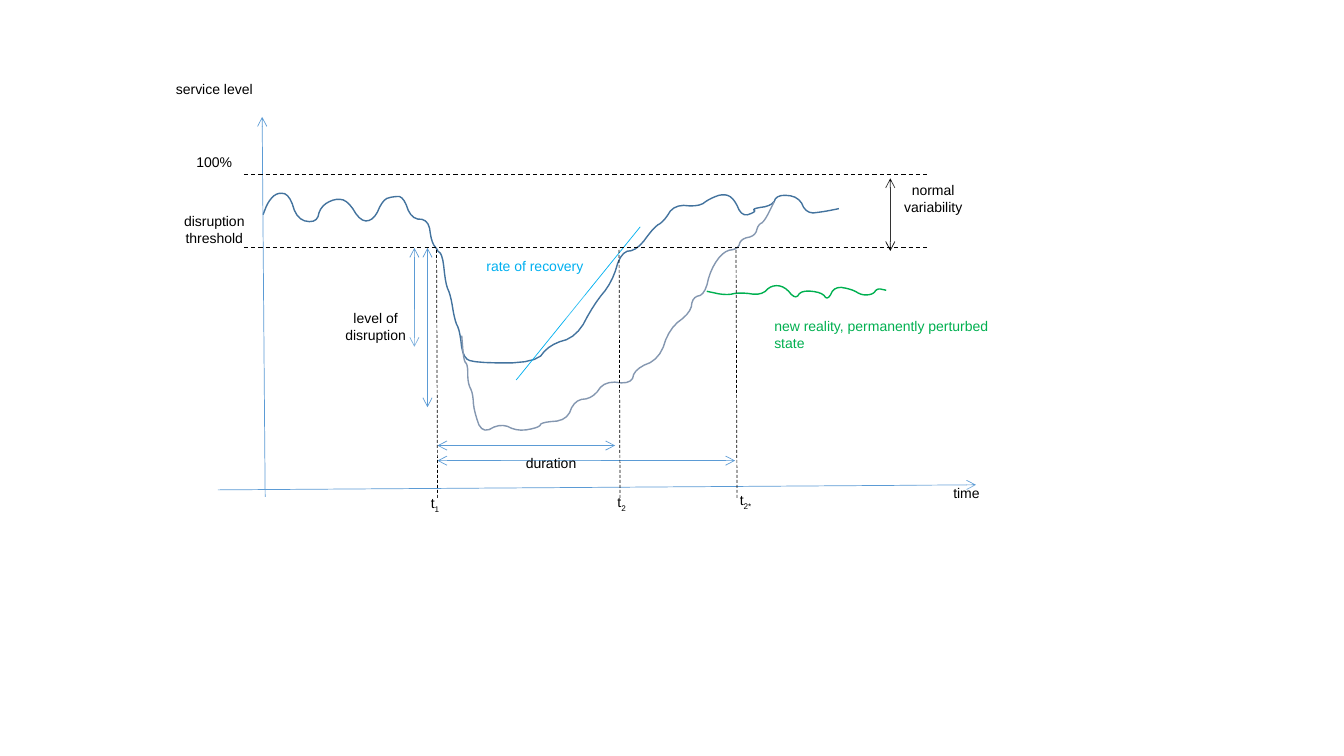
from lxml import etree
from pptx import Presentation
from pptx.dml.color import RGBColor
from pptx.enum.dml import MSO_LINE
from pptx.enum.shapes import MSO_CONNECTOR, MSO_SHAPE
from pptx.enum.text import MSO_ANCHOR, PP_ALIGN
from pptx.oxml.ns import qn
from pptx.util import Inches, Pt

STRAIGHT = MSO_CONNECTOR.STRAIGHT
DASH = MSO_LINE.DASH
RECT = MSO_SHAPE.RECTANGLE
TOP = MSO_ANCHOR.TOP
LEFT, CENTER = PP_ALIGN.LEFT, PP_ALIGN.CENTER

COLORS = {
    "black": "000000", "white": "FFFFFF", "axis": "5B9BD5", "navy": "43739E",
    "slate": "8497B0", "green": "00B050", "cyan": "00B0F0",
}


def color(name):
    return RGBColor.from_string(COLORS[name])


def smooth(dots):
    soft = [dots[0]]
    for (x1, y1), (x2, y2) in zip(dots, dots[1:]):
        soft += [((3 * x1 + x2) / 4, (3 * y1 + y2) / 4),
                 ((x1 + 3 * x2) / 4, (y1 + 3 * y2) / 4)]
    return soft + [dots[-1]]


prs = Presentation()
prs.slide_width = Inches(13.33)
prs.slide_height = Inches(7.5)
slide = prs.slides.add_slide(prs.slide_layouts[6])

curves = [
    ("navy", [
        (2.61, 2.13), (2.66, 2), (2.75, 1.91), (2.87, 1.93), (2.95, 2.18), (3.14, 2.21),
        (3.18, 2.05), (3.32, 1.97), (3.45, 1.99), (3.58, 2.2), (3.71, 2.18), (3.8, 1.98),
        (3.9, 1.95), (4, 1.95), (4.08, 2.17), (4.25, 2.18), (4.28, 2.4), (4.34, 2.48)]),
    ("navy", [
        (4.33, 2.48), (4.39, 2.53), (4.42, 2.82), (4.47, 2.93), (4.51, 3.18), (4.56, 3.28),
        (4.59, 3.54), (4.7, 3.6), (5.31, 3.6), (5.45, 3.42), (5.72, 3.34), (5.89, 3.02),
        (6.07, 2.8), (6.16, 2.5), (6.32, 2.48), (6.49, 2.25), (6.58, 2.2), (6.69, 2.03),
        (6.93, 2.05), (7.04, 1.97), (7.18, 1.92), (7.28, 1.97), (7.36, 2.15), (7.5, 2.1),
        (7.46, 2.07), (7.66, 2.04), (7.71, 1.93), (7.92, 1.95), (8, 2.12), (8.17, 2.1),
        (8.32, 2.07)]),
    ("slate", [
        (4.58, 3.33), (4.6, 3.58), (4.64, 3.62), (4.64, 3.8), (4.69, 3.9), (4.7, 4.07),
        (4.78, 4.3), (4.97, 4.2), (5.14, 4.28), (5.35, 4.24), (5.37, 4.19), (5.62, 4.17),
        (5.7, 3.97), (5.88, 3.95), (6, 3.78), (6.26, 3.81), (6.3, 3.66), (6.54, 3.56),
        (6.64, 3.26), (6.85, 3.1), (6.87, 2.95), (6.99, 2.92), (7.05, 2.67), (7.18, 2.49),
        (7.32, 2.47), (7.35, 2.37), (7.49, 2.34), (7.52, 2.23), (7.58, 2.2), (7.68, 2)]),
    ("green", [
        (7.01, 2.89), (7.2, 2.93), (7.34, 2.9), (7.55, 2.93), (7.65, 2.83), (7.78, 2.84),
        (7.89, 2.97), (7.95, 2.88), (8.15, 2.9), (8.21, 2.98), (8.28, 2.84), (8.45, 2.87),
        (8.55, 2.93), (8.66, 2.92), (8.7, 2.86), (8.79, 2.88)]),
]
for tint, dots in curves:
    dots = [(Inches(x), Inches(y)) for x, y in smooth(smooth(dots))]
    pen = slide.shapes.build_freeform(*dots[0])
    pen.add_line_segments(dots[1:], close=False)
    curve = pen.convert_to_shape()
    curve.shadow.inherit = False
    curve.fill.background()
    curve.line.color.rgb = color(tint)
    curve.line.width = Pt(1)

NONE, ONE, BOTH = (), ("tailEnd",), ("headEnd", "tailEnd")
lines = [
    (2.16, 4.86, 9.68, 4.81, "axis", ONE),
    (2.63, 4.93, 2.6, 1.16, "axis", ONE),
    (4.11, 2.46, 4.11, 3.44, "axis", BOTH),
    (4.24, 2.46, 4.24, 4.04, "axis", BOTH),
    (6.1, 4.42, 4.34, 4.42, "axis", BOTH),
    (7.29, 4.57, 4.34, 4.57, "axis", BOTH),
    (5.12, 3.77, 6.35, 2.25, "cyan", NONE),
    (8.83, 1.77, 8.83, 2.49, "black", BOTH),
]
lines += [(2.42, y, 9.19, y, "black", NONE) for y in (1.73, 2.46)]
lines += [(x, 2.48, x + 0.01, 4.95, "black", NONE) for x in (4.33, 6.14, 7.3)]
for x1, y1, x2, y2, tint, ends in lines:
    link = slide.shapes.add_connector(
        STRAIGHT, Inches(x1), Inches(y1), Inches(x2), Inches(y2))
    link.line.color.rgb = color(tint)
    link.line.width = Pt(0.5)
    if tint == "black" and not ends:
        link.line.dash_style = DASH
        if y1 == y2:
            link.line.width = Pt(0.75)
    for end in ends:
        etree.SubElement(link.line._get_or_add_ln(), qn("a:" + end), type="arrow")
    etree.SubElement(link._element.spPr, qn("a:effectLst"))

labels = [
    ("service level", "", 1.63, 0.75, 0.99, 0.71, "black"),
    ("100%", "", 1.63, 1.47, 0.99, 0.46, "black"),
    ("disruption threshold", "", 1.63, 2.11, 0.99, 0.72, "black"),
    ("normal variability", "", 8.76, 1.8, 0.99, 0.61, "black"),
    ("new reality, permanently perturbed state", "", 7.68, 3.15, 2.27, 0.61, "green"),
    ("level of disruption", "", 3.23, 3.07, 0.99, 0.61, "black"),
    ("rate of recovery", "", 4.81, 2.55, 0.99, 0.61, "cyan"),
    ("duration", "", 4.97, 4.51, 0.99, 0.32, "black"),
    ("t", "1", 4.2, 4.91, 0.23, 0.32, "black"),
    ("t", "2", 6.05, 4.9, 0.23, 0.32, "black"),
    ("t", "2*", 7.11, 4.88, 0.57, 0.36, "black"),
    ("time", "", 9.09, 4.81, 0.99, 0.32, "black"),
]
for text, sub, x, y, w, h, tint in labels:
    place = [Inches(n) for n in (x, y, w, h)]
    if text in ("service level", "100%", "disruption threshold"):
        box = slide.shapes.add_textbox(*place)
    else:
        box = slide.shapes.add_shape(RECT, *place)
        box.shadow.inherit = False
        box.fill.solid()
        box.fill.fore_color.rgb = color("white")
        shade = box._element.spPr.find(".//" + qn("a:srgbClr"))
        etree.SubElement(shade, qn("a:alpha"), val="20000")
        box.line.fill.background()
    frame = box.text_frame
    frame.word_wrap = True
    frame.vertical_anchor = TOP
    if text not in ("service level", "100%"):
        frame.margin_left = frame.margin_right = 0
        frame.margin_top = frame.margin_bottom = 0
    para = frame.paragraphs[0]
    para.alignment = LEFT if tint == "green" else CENTER
    para.space_after = Pt(6)
    para.font.name = "Arial"
    para.font.size = Pt(10)
    para.font.color.rgb = color(tint)
    para.add_run().text = text
    if sub:
        run = para.add_run()
        run.text = sub
        run._r.get_or_add_rPr().set("baseline", "-25000")

prs.save("out.pptx")
